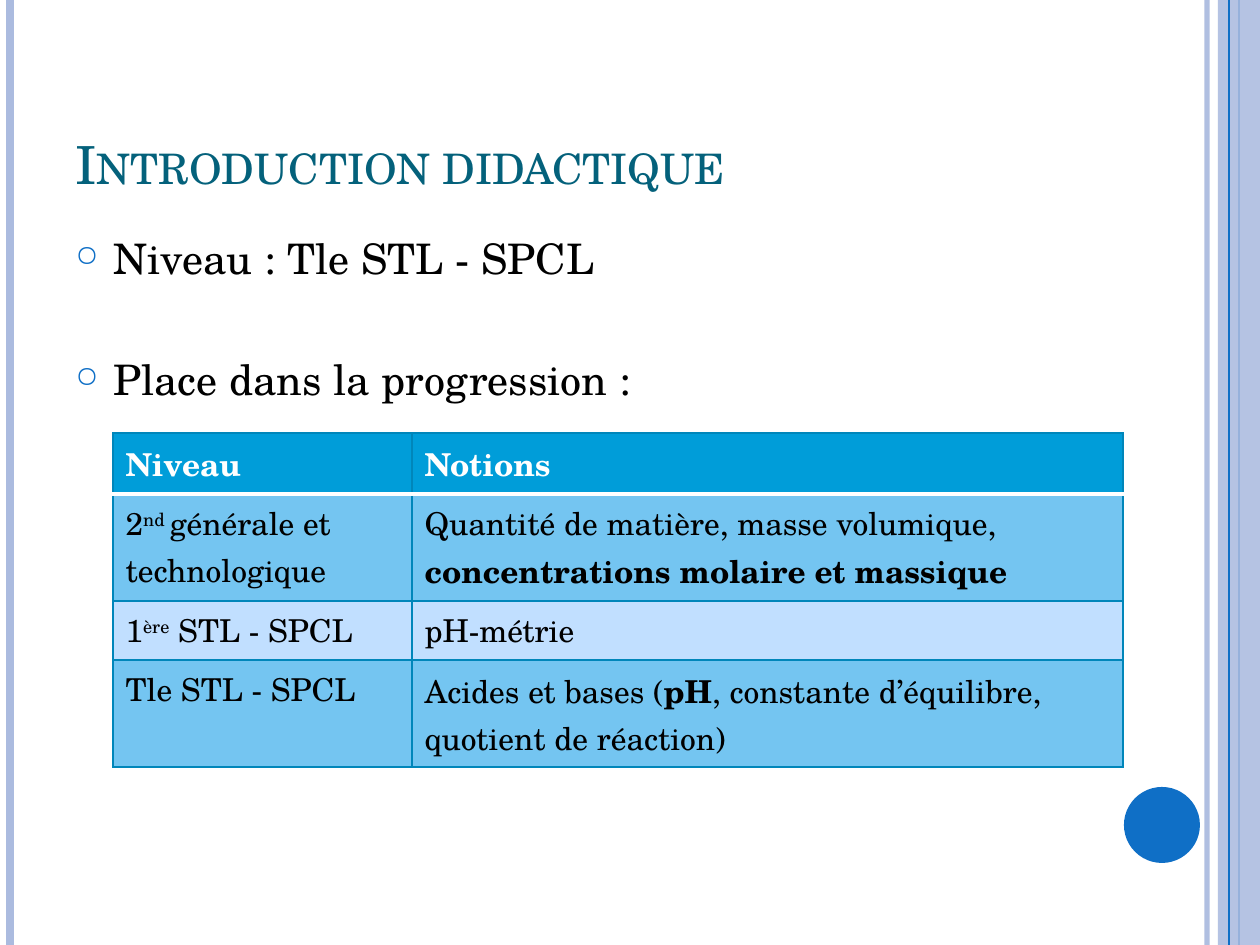
import pptx
import pptx.util
import pptx.dml.color
import pptx.enum.shapes
import pptx.enum.text
import pptx.oxml
import pptx.oxml.ns
from lxml import etree

PX = 914400 // 126
RGB = pptx.dml.color.RGBColor
PALE = RGB(0xAB, 0xBB, 0xDF)
BLUE = RGB(0x0F, 0x6F, 0xC6)
TEAL = RGB(0x04, 0x61, 0x7B)
BLACK = RGB(0, 0, 0)
WHITE = RGB(255, 255, 255)
HEAD = RGB(0x00, 0x9D, 0xD9)
BAND = RGB(0x74, 0xC5, 0xF1)
LIGHT = RGB(0xC1, 0xDF, 0xFF)
EDGE = RGB(0x00, 0x86, 0xBA)
FONT = "TeX Gyre Schola"


def add_run(para, text, size, color, style=""):
    run = para.add_run()
    run.text = text
    font = run.font
    font.name, font.size = FONT, pptx.util.Pt(size)
    font.color.rgb = color
    font.bold = style == "bold"
    if style == "super":
        font._element.set("baseline", "30000")
    if style == "caps":
        font._element.set("cap", "small")


def add_node(parent, tag, **attrs):
    node = etree.SubElement(parent, pptx.oxml.ns.qn(tag))
    for key, val in attrs.items():
        node.set(key, str(val))
    return node


deck = pptx.Presentation()
deck.slide_width, deck.slide_height = 1260 * PX, 945 * PX
slide = deck.slides.add_slide(deck.slide_layouts[6])
shapes = slide.shapes
kinds = pptx.enum.shapes.MSO_SHAPE

# Side stripes, back to front, with the band among them
for x, color, width, alpha in [
    (1207, PALE, 3, 93), (10, PALE, 4.5, 100), (1239, BLUE, 1.5, 100),
    (None, PALE, 0, 87), (1229, BLUE, 0.75, 100),
]:
    if x is None:
        item = shapes.add_shape(kinds.RECTANGLE, 1218 * PX, 0, 42 * PX, 945 * PX)
        item.shadow.inherit = False
        item.line.fill.background()
        fill = item.fill
        fill.solid()
        fill.fore_color.rgb = color
    else:
        item = shapes.add_connector(
            pptx.enum.shapes.MSO_CONNECTOR.STRAIGHT, x * PX, 0, x * PX, 945 * PX)
        item.line.color.rgb = color
        item.line.width = pptx.util.Pt(width)
        add_node(item._element.spPr, "a:effectLst")
    if alpha < 100:
        tint = next(item._element.spPr.iter(pptx.oxml.ns.qn("a:srgbClr")))
        add_node(tint, "a:alpha", val=alpha * 1000)

# Dot
dot = shapes.add_shape(kinds.OVAL, 1124 * PX, 787 * PX, 76 * PX, 76 * PX)
dot.shadow.inherit = False
dot.fill.solid()
dot.fill.fore_color.rgb = BLUE
dot.line.fill.background()

# Title
frame = shapes.add_textbox(63 * PX, 38 * PX, 1029 * PX, 157 * PX).text_frame
frame.word_wrap = True
frame.margin_bottom = 0
frame.vertical_anchor = pptx.enum.text.MSO_ANCHOR.BOTTOM
add_run(frame.paragraphs[0], "Introduction didactique", 30, TEAL, "caps")

# Bullets
frame = shapes.add_textbox(63 * PX, 220 * PX, 1029 * PX, 672 * PX).text_frame
frame.word_wrap = True
frame.margin_top = 12 * PX
points = [("Niveau : Tle STL - SPCL", 0), ("Place dans la progression :", 40)]
for i, (text, gap) in enumerate(points):
    para = frame.paragraphs[0] if i == 0 else frame.add_paragraph()
    para.line_spacing = pptx.util.Pt(29)
    para.space_before = pptx.util.Pt(gap)
    props = para._p.get_or_add_pPr()
    props.set("marL", str(38 * PX))
    props.set("indent", str(-38 * PX))
    tint = add_node(props, "a:buClr")
    add_node(tint, "a:srgbClr", val=BLUE)
    add_node(props, "a:buSzPct", val=70000)
    add_node(props, "a:buChar", char="○")
    add_run(para, text, 24, BLACK)

# Table
rows = [
    [[("Niveau", "bold")], [("Notions", "bold")]],
    [[("2", ""), ("nd ", "super"), ("générale et technologique", "")],
     [("Quantité de matière, masse volumique, ", ""),
      ("concentrations molaire et massique", "bold")]],
    [[("1", ""), ("ère", "super"), (" STL - SPCL", "")], [("pH-métrie", "")]],
    [[("Tle STL - SPCL", "")],
     [("Acides et bases (", ""), ("pH", "bold"),
      (", constante d’équilibre, quotient de réaction)", "")]],
]
fills = [HEAD, BAND, LIGHT, BAND]
tall = [61, 107, 59, 107]
table = shapes.add_table(
    4, 2, 113 * PX, 433 * PX, 1010 * PX, sum(tall) * PX).table
for col, width in zip(table.columns, [299, 711]):
    col.width = width * PX
for r, row in enumerate(rows):
    table.rows[r].height = tall[r] * PX
    for c, runs in enumerate(row):
        cell = table.cell(r, c)
        cell.fill.solid()
        cell.fill.fore_color.rgb = fills[r]
        for text, style in runs:
            add_run(cell.text_frame.paragraphs[0], text, 18,
                    BLACK if r else WHITE, style)
        # Borders go ahead of the fill
        props = cell._tc.get_or_add_tcPr()
        for n, side in enumerate("LRTB"):
            rule = (r, side) in [(0, "B"), (1, "T")]
            line = add_node(props, "a:ln" + side, w=25400 if rule else 12700)
            paint = add_node(line, "a:solidFill")
            add_node(paint, "a:srgbClr", val=WHITE if rule else EDGE)
            props.insert(n, line)

deck.save("out.pptx")
